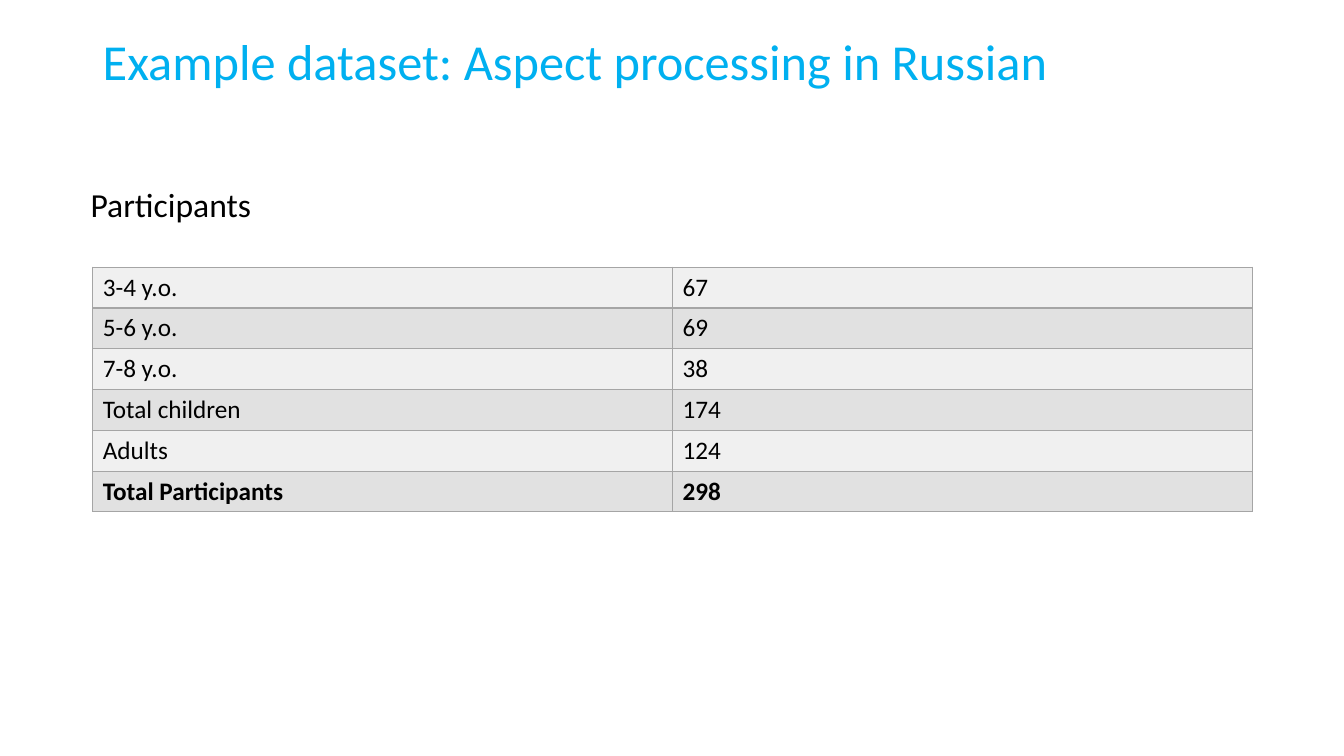
from dataclasses import dataclass

from lxml.etree import SubElement
from pptx import Presentation
from pptx.dml.color import RGBColor as RGB
from pptx.enum.text import MSO_ANCHOR as Anchor
from pptx.oxml.ns import qn
from pptx.util import Pt

PX = 9144  # EMU per px, 100 px to the inch


@dataclass(frozen=True)
class Theme:
    font: str = "Calibri"
    accent: str = "00B0F0"
    ink: str = "000000"
    border: str = "A5A5A5"
    bands: tuple = ("F0F0F0", "E1E1E1")
    title_size: int = 36
    heading_size: int = 24
    cell_size: int = 18


THEME = Theme()
PARTICIPANTS = [
    ("3-4 y.o.", "67"),
    ("5-6 y.o.", "69"),
    ("7-8 y.o.", "38"),
    ("Total children", "174"),
    ("Adults", "124"),
    ("Total Participants", "298"),
]


def scale(box):
    return [length * PX for length in box]


def write(tf, text, size, color, bold=False):
    r = tf.paragraphs[0].add_run()
    r.text = text
    for name, value in dict(name=THEME.font, size=Pt(size), bold=bold).items():
        setattr(r.font, name, value)
    r.font.color.rgb = RGB.from_string(color)


def add_text(slide, box, text, size, color, anchor=Anchor.TOP, spacing=1.0):
    tf = slide.shapes.add_textbox(*scale(box)).text_frame
    for name, value in dict(word_wrap=True, vertical_anchor=anchor).items():
        setattr(tf, name, value)
    tf.paragraphs[0].line_spacing = spacing
    write(tf, text, size, color)


def format_cell(cell, fill):
    """Draw the four borders, then fill the cell."""
    tc_pr = cell._tc.get_or_add_tcPr()
    for side in ("lnL", "lnR", "lnT", "lnB"):
        ln = SubElement(tc_pr, qn(f"a:{side}"), w=str(Pt(1)))
        solid = SubElement(ln, qn("a:solidFill"))
        SubElement(solid, qn("a:srgbClr"), val=THEME.border)
    cell.fill.solid()
    cell.fill.fore_color.rgb = RGB.from_string(fill)


def add_participant_table(slide, box, rows):
    """Banded table whose last row is a bold total."""
    table = slide.shapes.add_table(len(rows), len(rows[0]), *scale(box)).table
    for name in ("first_row", "horz_banding"):
        setattr(table, name, False)
    for i, row in enumerate(rows):
        for j, text in enumerate(row):
            cell = table.cell(i, j)
            format_cell(cell, THEME.bands[i % 2])
            write(cell.text_frame, text, THEME.cell_size, THEME.ink,
                  bold=i == len(rows) - 1)


def add_dataset_slide(prs, box):
    left, top, width, height = box
    slide = prs.slides.add_slide(prs.slide_layouts[6])
    add_text(slide, (left, top, width, 48),
             "Example dataset: Aspect processing in Russian",
             THEME.title_size, THEME.accent, Anchor.MIDDLE, 0.9)
    add_participant_table(slide, (left, top + 225, width, 243), PARTICIPANTS)
    add_text(slide, (left - 12, top + 138, 407, 50), "Participants",
             THEME.heading_size, THEME.ink)


def main():
    prs = Presentation()
    prs.slide_width, prs.slide_height = scale((1333, 750))
    add_dataset_slide(prs, (92, 40, 1150, 670))
    prs.save("out.pptx")


if __name__ == "__main__":
    main()
